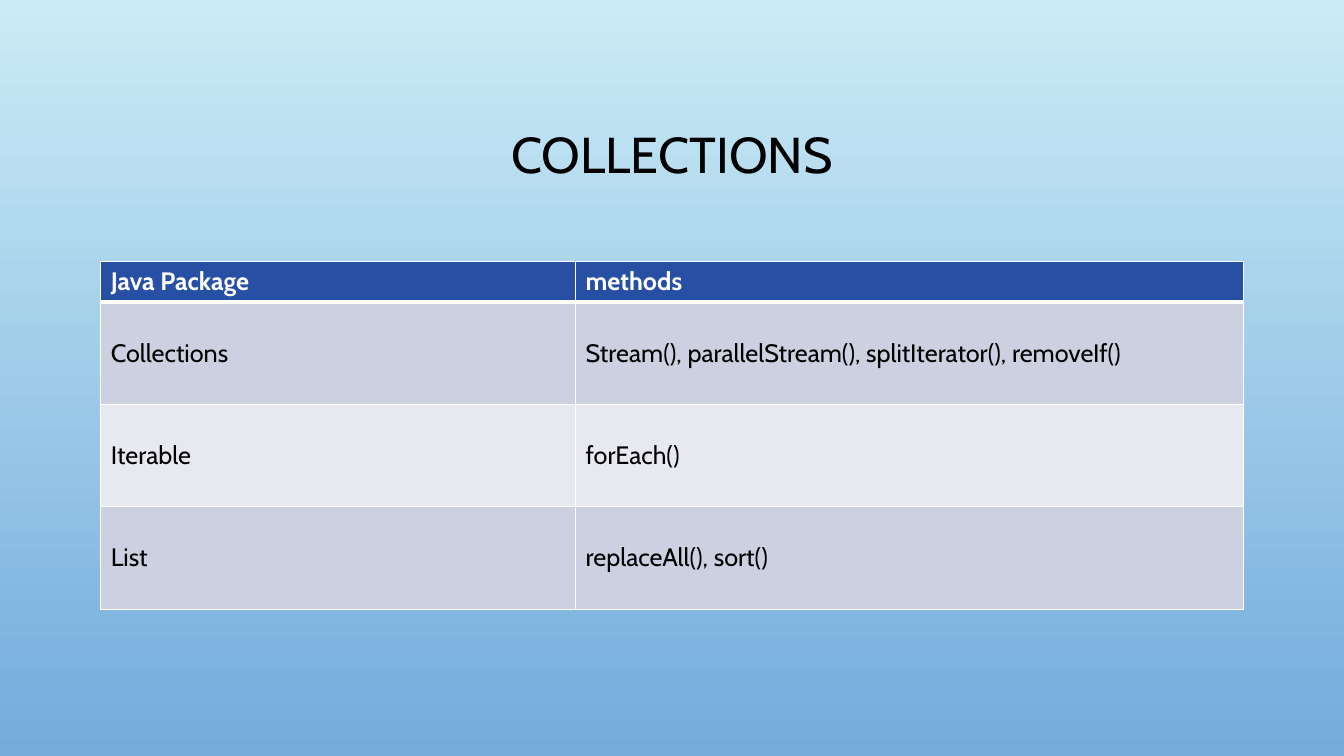
import lxml.etree
import pptx
import pptx.dml.color
import pptx.enum.text
import pptx.oxml.ns
import pptx.util

Cm = pptx.util.Cm
Pt = pptx.util.Pt
RGBColor = pptx.dml.color.RGBColor
qn = pptx.oxml.ns.qn

SKY_TOP = RGBColor(0xCB, 0xEC, 0xF5)
SKY_BOTTOM = RGBColor(0x73, 0xAB, 0xDD)
HEADER_BLUE = RGBColor(0x27, 0x4F, 0xA4)
BAND_DARK = RGBColor(0xCD, 0xD0, 0xE0)
BAND_LIGHT = RGBColor(0xE8, 0xE9, 0xF0)
WHITE = RGBColor(0xFF, 0xFF, 0xFF)
BLACK = RGBColor(0, 0, 0)
FONT = "Cabin"

METHODS_BY_PACKAGE = [
    ("Java Package", "methods"),
    ("Collections", "Stream(), parallelStream(), splitIterator(), removeIf()"),
    ("Iterable", "forEach()"),
    ("List", "replaceAll(), sort()"),
]
PACKAGE_SHARE = 0.4156
HEADER_HEIGHT = Cm(1.03)


def format_text(paragraph, size, color, bold=False):
    for run in paragraph.runs:
        run.font.name = FONT
        run.font.size = Pt(size)
        run.font.bold = bold
        run.font.color.rgb = color


def paint_background(slide):
    sky = slide.background.fill
    sky.gradient()
    sky.gradient_angle = 270
    for stop, color in zip(sky.gradient_stops, (SKY_TOP, SKY_BOTTOM)):
        stop.color.rgb = color


def place_heading(slide, left, top, width, height):
    heading = slide.shapes.title
    heading.left, heading.top, heading.width, heading.height = left, top, width, height
    heading.text_frame.text = "COLLECTIONS"
    heading.text_frame.vertical_anchor = pptx.enum.text.MSO_ANCHOR.MIDDLE
    paragraph = heading.text_frame.paragraphs[0]
    paragraph.alignment = pptx.enum.text.PP_ALIGN.CENTER
    paragraph.line_spacing = 0.9
    format_text(paragraph, 36, BLACK)


def draw_borders(cell, widths):
    properties = cell._tc.get_or_add_tcPr()
    for side, width in widths.items():
        line = lxml.etree.SubElement(properties, qn(f"a:ln{side}"), w=str(Pt(width)))
        solid = lxml.etree.SubElement(line, qn("a:solidFill"))
        lxml.etree.SubElement(solid, qn("a:srgbClr"), val=str(WHITE))


def place_methods_table(slide, left, top, width, height):
    row_count = len(METHODS_BY_PACKAGE)
    methods = slide.shapes.add_table(row_count, 2, left, top, width, height).table
    package_width = int(width * PACKAGE_SHARE)
    methods.columns[0].width = package_width
    methods.columns[1].width = width - package_width
    body_height = (height - HEADER_HEIGHT) // (row_count - 1)

    for index, entries in enumerate(METHODS_BY_PACKAGE):
        is_header = index == 0
        methods.rows[index].height = HEADER_HEIGHT if is_header else body_height
        band = HEADER_BLUE if is_header else (BAND_LIGHT, BAND_DARK)[index % 2]
        borders = {"L": 1, "R": 1, "T": 3 if index == 1 else 1, "B": 3 if is_header else 1}
        for column, entry in enumerate(entries):
            cell = methods.cell(index, column)
            cell.text_frame.text = entry
            cell.vertical_anchor = pptx.enum.text.MSO_ANCHOR.MIDDLE
            format_text(cell.text_frame.paragraphs[0], 18, WHITE if is_header else BLACK, is_header)
            draw_borders(cell, borders)
            cell.fill.solid()
            cell.fill.fore_color.rgb = band


def main():
    presentation = pptx.Presentation()
    presentation.slide_width = Cm(33.87)
    presentation.slide_height = Cm(19.05)
    slide = presentation.slides.add_slide(presentation.slide_layouts[5])
    margin = Cm(2.54)
    content_width = presentation.slide_width - 2 * margin
    paint_background(slide)
    place_heading(slide, margin, Cm(1.73), content_width, Cm(4.44))
    place_methods_table(slide, margin, Cm(6.58), content_width, Cm(8.77))
    presentation.save("out.pptx")


if __name__ == "__main__":
    main()
